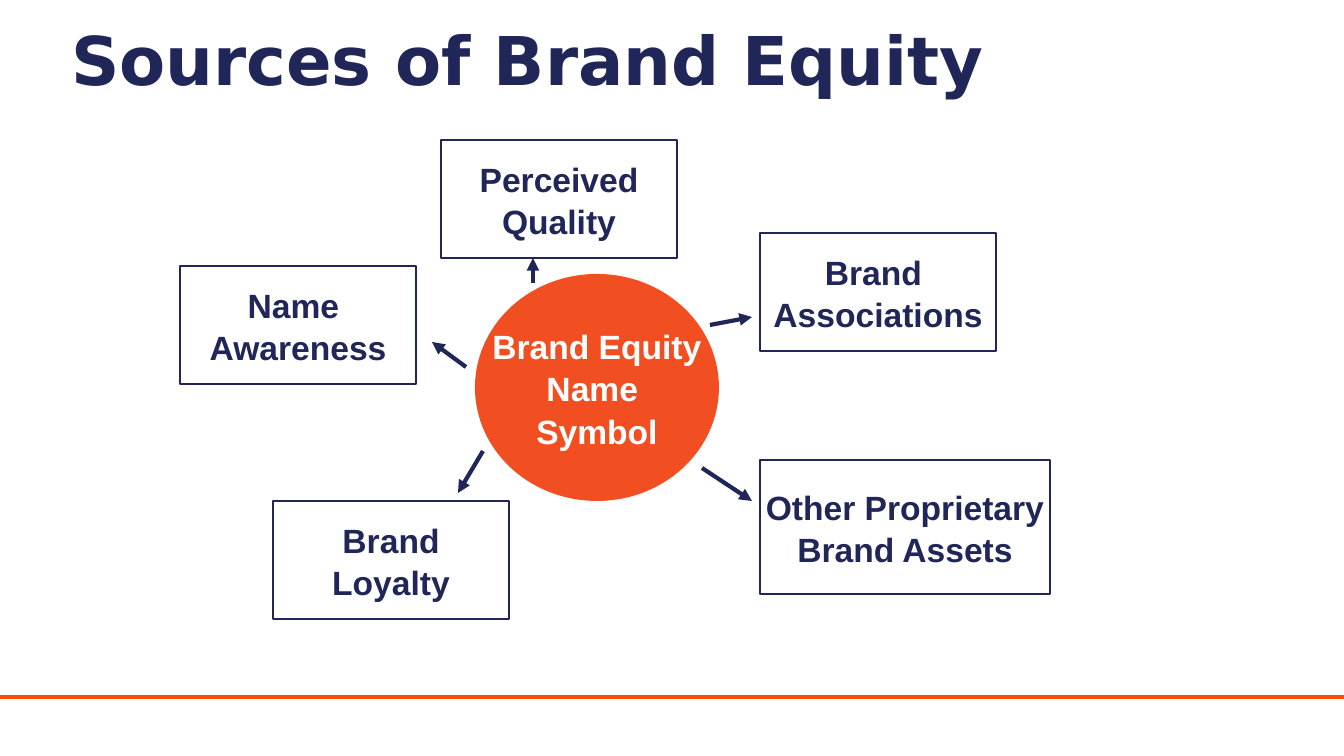
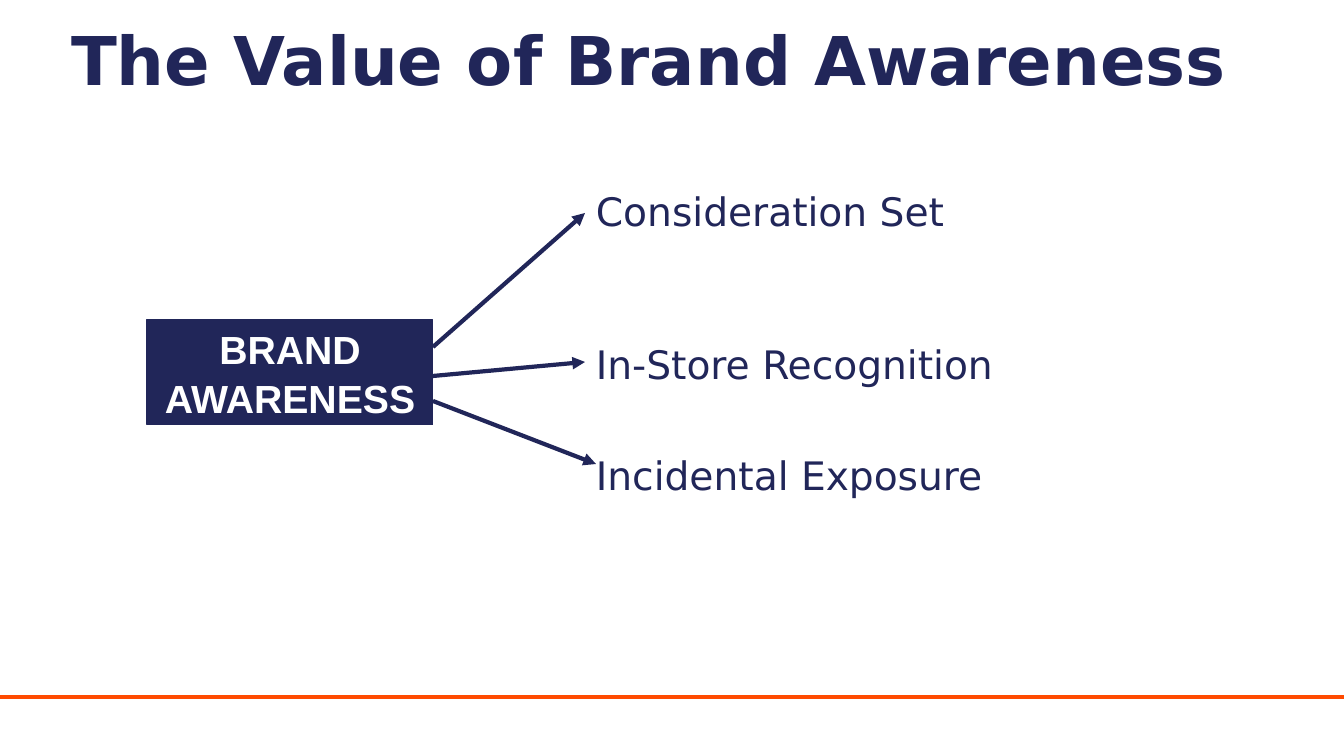
from lxml import etree
from pptx import Presentation
from pptx import util as u
from pptx.dml.color import RGBColor
from pptx.enum import shapes, text
from pptx.oxml.ns import qn

PX = 9071.43  # EMU in one px, 100.8 px to the inch
COLORS = {"navy": "212659", "orange": "F14E22", "rule": "FF4A00", "white": "FFFFFF"}
TITLE = {"name": "DejaVu Sans", "size": u.Pt(48), "bold": True}
LABEL = {"name": "Arial", "size": u.Pt(24), "bold": True}
CAUSE = {"name": "Arial", "size": u.Pt(28), "bold": True}
EFFECT = {"name": "DejaVu Sans", "size": u.Pt(28), "bold": False}


def px(*lengths):
    return [u.Emu(round(length * PX)) for length in lengths]


def write(shape, lines, font, color, align, anchor, spacing, wrap=False, gaps=None):
    """Fill a shape with one paragraph per line; gaps are points before each."""
    frame = shape.text_frame
    frame.text = "\n".join(lines)
    frame.auto_size = text.MSO_AUTO_SIZE.NONE
    frame.word_wrap = wrap
    frame.vertical_anchor = anchor
    for index, paragraph in enumerate(frame.paragraphs):
        paragraph.alignment = align
        paragraph.line_spacing = spacing
        paragraph.space_before = u.Pt(gaps[index] if gaps else 0)
        for run in paragraph.runs:
            for key, value in font.items():
                setattr(run.font, key, value)
            run.font.color.rgb = RGBColor.from_string(COLORS[color])


LEFT, CENTER = text.PP_ALIGN.LEFT, text.PP_ALIGN.CENTER
TOP, MIDDLE = text.MSO_ANCHOR.TOP, text.MSO_ANCHOR.MIDDLE

deck = Presentation()
deck.slide_width, deck.slide_height = px(1344, 756)
title_only = deck.slide_layouts[5]

# Titles, both in one style
slides = []
for heading in ("Sources of Brand Equity", "The Value of Brand Awareness"):
    slide = deck.slides.add_slide(title_only)
    title = slide.shapes.title
    title.left, title.top, title.width, title.height = px(61, 8, 1251, 84)
    write(title, [heading], TITLE, "navy", LEFT, TOP, 1.07, wrap=True)
    slides.append(slide)
sources, value = slides

# Sources of brand equity: a hub and the boxes around it
RECT, OVAL = shapes.MSO_SHAPE.RECTANGLE, shapes.MSO_SHAPE.OVAL
nodes = [
    (sources, OVAL, (475, 274, 244, 227), ["Brand Equity", "Name ", "Symbol"],
     LABEL, "orange", None, "white"),
    (value, RECT, (147, 320, 286, 105), ["BRAND AWARENESS"],
     CAUSE, "navy", 0.75, "white"),
]
for place, lines in [
    ((760, 233, 236, 118), ["Brand ", "Associations"]),
    ((760, 460, 290, 134), ["Other Proprietary", "Brand Assets"]),
    ((273, 501, 236, 118), ["Brand", "Loyalty"]),
    ((180, 266, 236, 118), ["Name ", "Awareness"]),
    ((441, 140, 236, 118), ["Perceived", "Quality"]),
]:
    nodes.append((sources, RECT, place, lines, LABEL, "white", 1.5, "navy"))

for slide, form, place, lines, font, fill, outline, ink in nodes:
    node = slide.shapes.add_shape(form, *px(*place))
    node.shadow.inherit = False
    node.fill.solid()
    node.fill.fore_color.rgb = RGBColor.from_string(COLORS[fill])
    if outline:
        node.line.color.rgb = RGBColor.from_string(COLORS["navy"])
        node.line.width = u.Pt(outline)
    else:
        node.line.fill.background()
    write(node, lines, font, ink, CENTER, MIDDLE, 1.05, wrap=font is CAUSE)

# What awareness leads to
effects = value.shapes.add_textbox(*px(586, 179, 663, 523))
write(effects, ["Consideration Set", "In-Store Recognition", "Incidental Exposure"],
      EFFECT, "navy", LEFT, TOP, 1.07, wrap=True, gaps=[0, 73, 44])

# Arrows, and the rule that belongs to the layout
lines = [(sources, ends, "navy") for ends in [
    (483, 451, 458, 493), (466, 367, 432, 342), (702, 468, 752, 501),
    (710, 325, 752, 317), (533, 283, 533, 258),
]]
lines += [(value, ends, "navy") for ends in [
    (433, 347, 585, 213), (433, 376, 585, 362), (433, 401, 596, 464),
]]
lines.append((sources, (0, 697, 1344, 697), "rule"))
for slide, ends, color in lines:
    line = slide.shapes.add_connector(shapes.MSO_CONNECTOR.STRAIGHT, *px(*ends))
    line.line.color.rgb = RGBColor.from_string(COLORS[color])
    line.line.width = u.Pt(3)
    properties = line.element.spPr
    etree.SubElement(properties, qn("a:effectLst"))
    if color == "rule":
        title_only.shapes.element.append(line.element)
    else:
        etree.SubElement(properties.find(qn("a:ln")), qn("a:tailEnd"), type="triangle")

deck.save("out.pptx")
